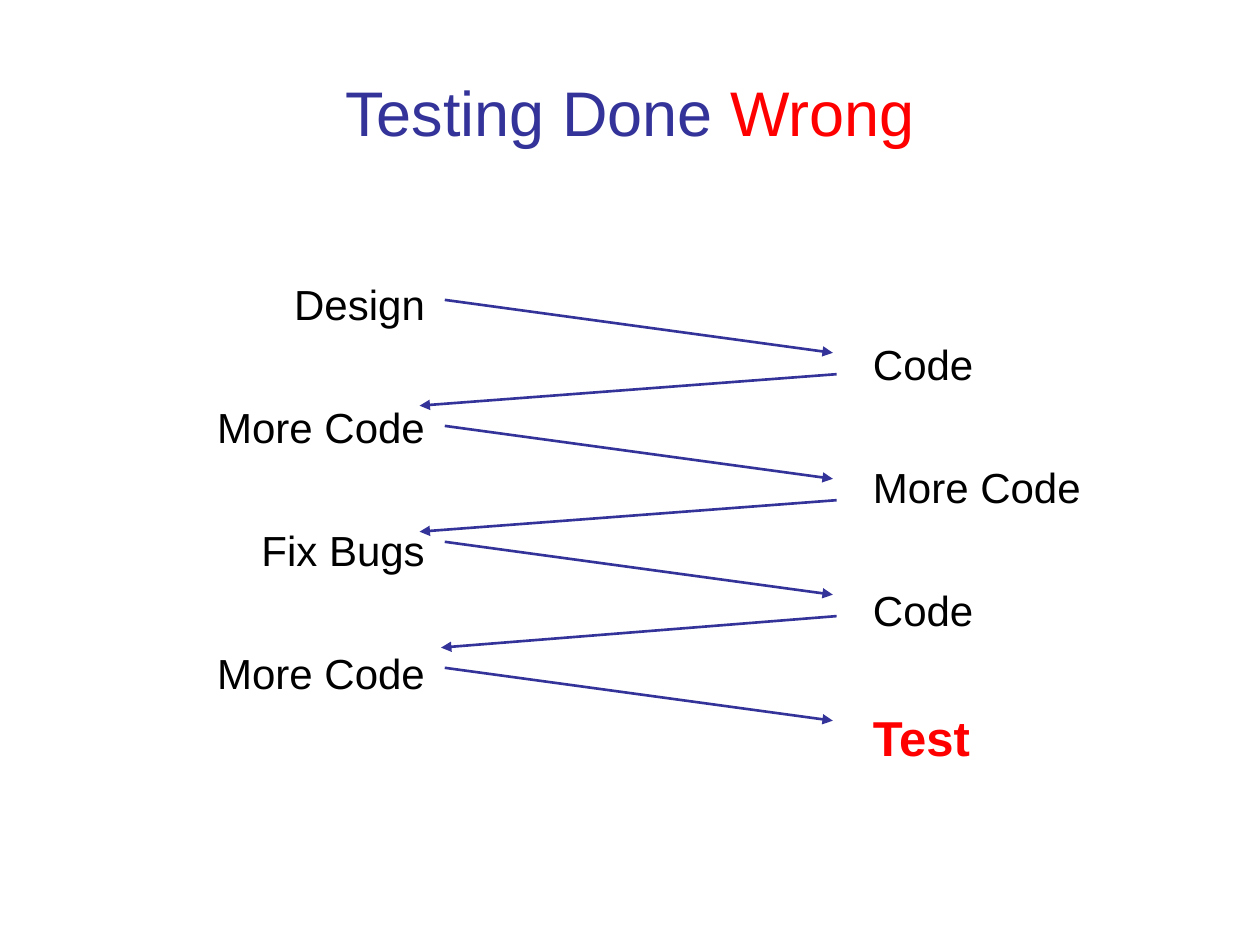
import pptx
import pptx.dml.color
import pptx.enum.shapes
import pptx.enum.text
import pptx.oxml.ns
import pptx.util
from lxml import etree

NAVY = pptx.dml.color.RGBColor(0x33, 0x33, 0x99)
RED = pptx.dml.color.RGBColor(0xFF, 0x00, 0x00)
BLACK = pptx.dml.color.RGBColor(0x00, 0x00, 0x00)
LEFT = pptx.enum.text.PP_ALIGN.LEFT
CENTER = pptx.enum.text.PP_ALIGN.CENTER
RIGHT = pptx.enum.text.PP_ALIGN.RIGHT
COLUMNS, ROWS = 100, 75


def add_text(paragraph, text, size=24, color=BLACK, bold=False, font="Arial"):
    run = paragraph.add_run()
    run.text = text
    run.font.name = font
    run.font.size = pptx.util.Pt(size)
    run.font.bold = bold
    run.font.color.rgb = color


class SlideBuilder:
    line_color = NAVY
    line_width = pptx.util.Pt(1.5)
    step_gap = 41.5

    def __init__(self, presentation):
        self.column = presentation.slide_width / COLUMNS
        self.row = presentation.slide_height / ROWS
        self.slide = presentation.slides.add_slide(presentation.slide_layouts[5])

    def point(self, column, row):
        return round(column * self.column), round(row * self.row)

    def title(self, parts, column, row, width, height):
        shape = self.slide.shapes.title
        shape.left, shape.top = self.point(column, row)
        shape.width, shape.height = self.point(width, height)
        frame = shape.text_frame
        frame.auto_size = pptx.enum.text.MSO_AUTO_SIZE.NONE
        frame.vertical_anchor = pptx.enum.text.MSO_ANCHOR.BOTTOM
        paragraph = frame.paragraphs[0]
        paragraph.alignment = CENTER
        for text, color in parts:
            add_text(paragraph, text, size=36, color=color)

    def steps(self, items, column, row, width, height, alignment):
        shape = self.slide.shapes.add_textbox(
            *self.point(column, row), *self.point(width, height))
        frame = shape.text_frame
        frame.word_wrap = True
        for index, (text, style) in enumerate(items):
            paragraph = frame.add_paragraph() if index else frame.paragraphs[0]
            paragraph.alignment = alignment
            if index:
                paragraph.space_before = pptx.util.Pt(self.step_gap)
            add_text(paragraph, text, **style)

    def arrow(self, start, end):
        connector = self.slide.shapes.add_connector(
            pptx.enum.shapes.MSO_CONNECTOR.STRAIGHT,
            *self.point(*start), *self.point(*end))
        connector.line.color.rgb = self.line_color
        connector.line.width = self.line_width
        etree.SubElement(connector.line._get_or_add_ln(),
                         pptx.oxml.ns.qn("a:tailEnd"), type="triangle")
        etree.SubElement(connector._element.spPr, pptx.oxml.ns.qn("a:effectLst"))


def main():
    presentation = pptx.Presentation()
    presentation.slide_width = pptx.util.Inches(10)
    presentation.slide_height = pptx.util.Inches(7.5)
    builder = SlideBuilder(presentation)

    builder.title([("Testing Done ", NAVY), ("Wrong", RED)], 6.7, 2.8, 86.6, 9.5)

    left_steps = [(text, {}) for text in ("Design", "More Code", "Fix Bugs", "More Code")]
    builder.steps(left_steps, 15.7, 21.6, 19, 43.8, RIGHT)

    forward_rows = (23.8, 33.8, 43, 53)
    return_columns = (33.3, 33.3, 35)
    for index, row in enumerate(forward_rows):
        builder.arrow((35.3, row), (66.1, row + 4.2))
        if index < len(return_columns):
            builder.arrow((66.4, row + 5.9), (return_columns[index], row + 8.4))

    right_steps = [(text, {}) for text in ("Code", "More Code", "Code")]
    right_steps.append(("Test", {"size": 28, "color": RED, "bold": True}))
    builder.steps(right_steps, 68.3, 26.4, 21, 43.8, LEFT)

    presentation.save("out.pptx")


if __name__ == "__main__":
    main()
